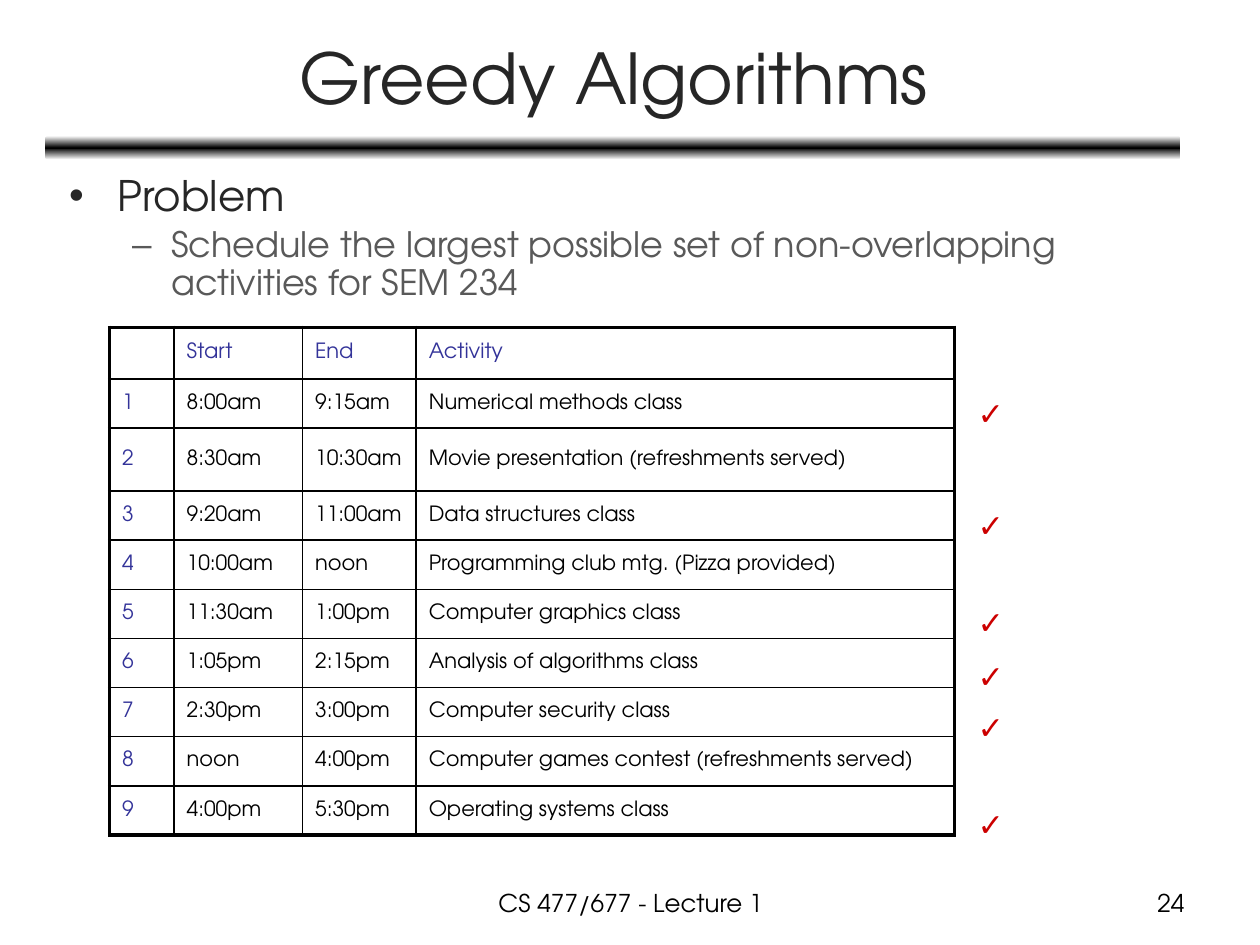
from copy import deepcopy

from lxml import etree
from pptx import Presentation
from pptx.dml.color import RGBColor
from pptx.enum.shapes import MSO_SHAPE
from pptx.enum.text import MSO_ANCHOR, MSO_AUTO_SIZE, PP_ALIGN
from pptx.oxml.ns import qn
from pptx.util import Cm, Pt

ROUNDED = MSO_SHAPE.ROUNDED_RECTANGLE
MIDDLE, TOP = MSO_ANCHOR.MIDDLE, MSO_ANCHOR.TOP
NO_AUTOFIT = MSO_AUTO_SIZE.NONE
LEFT, CENTER, RIGHT = PP_ALIGN.LEFT, PP_ALIGN.CENTER, PP_ALIGN.RIGHT
FONT = "TeX Gyre Adventor"
BLACK, BLUE = "000000", "333399"


def color(hex_value):
    return RGBColor.from_string(hex_value)


def write(para, text, size, hex_value, align=LEFT, **font_values):
    para.alignment = align
    span = para.add_run()
    span.text = text
    values = {"name": FONT, "size": Pt(size), **font_values}
    for name, value in values.items():
        setattr(span.font, name, value)
    span.font.color.rgb = color(hex_value)


deck = Presentation()
deck.slide_width, deck.slide_height = Cm(25.4), Cm(19.05)
page = deck.slides.add_slide(deck.slide_layouts[1])
title, body = page.placeholders

# Gradient rule under the title
rule = page.shapes.add_shape(ROUNDED, Cm(0.91), Cm(2.74), Cm(22.89), Cm(0.48))
rule.shadow.inherit = False
rule.line.fill.background()
rule.fill.gradient()
rule.fill.gradient_angle = 90
first_stop = rule.fill.gradient_stops[0]
stop_list = rule._element.spPr.find(qn("a:gradFill")).find(qn("a:gsLst"))
stop_list.append(deepcopy(stop_list[0]))
for stop, (position, shade) in zip(
        rule.fill.gradient_stops, [(0, "FFFFFF"), (0.5, BLACK), (1, "FFFFFF")]):
    stop.position = position
    stop.color.rgb = color(shade)

# Title
title.left, title.top, title.width, title.height = Cm(0.94), Cm(0.28), Cm(22.86), Cm(2.51)
title.text_frame.vertical_anchor = MIDDLE
write(title.text_frame.paragraphs[0], "Greedy Algorithms", 40, "262626", CENTER)

# Problem statement
body.left, body.top, body.width, body.height = Cm(1.14), Cm(3.4), Cm(21.08), Cm(3.07)
frame = body.text_frame
frame.auto_size = NO_AUTOFIT
frame.vertical_anchor = TOP
points = [
    ("Problem", 24, "262626", "•", 0.97, 0.97, 0),
    ("Schedule the largest possible set of non-overlapping activities for SEM 234",
     20, "595959", "–", 2.06, 0.79, 4),
]
for level, (text, size, shade, bullet, margin, hanging, before) in enumerate(points):
    para = frame.add_paragraph() if level else frame.paragraphs[0]
    para.level = level
    properties = para._p.get_or_add_pPr()
    properties.set("marL", str(Cm(margin)))
    properties.set("indent", str(-Cm(hanging)))
    etree.SubElement(properties, qn("a:buChar")).set("char", bullet)
    para.line_spacing = 0.9
    para.space_before = Pt(before)
    write(para, text, size, shade)

# Activity table
rows = [
    ("", "Start", "End", "Activity"),
    ("1", "8:00am", "9:15am", "Numerical methods class"),
    ("2", "8:30am", "10:30am", "Movie presentation (refreshments served)"),
    ("3", "9:20am", "11:00am", "Data structures class"),
    ("4", "10:00am", "noon", "Programming club mtg. (Pizza provided)"),
    ("5", "11:30am", "1:00pm", "Computer graphics class"),
    ("6", "1:05pm", "2:15pm", "Analysis of algorithms class"),
    ("7", "2:30pm", "3:00pm", "Computer security class"),
    ("8", "noon", "4:00pm", "Computer games contest (refreshments served)"),
    ("9", "4:00pm", "5:30pm", "Operating systems class"),
]
widths = [1.3, 2.59, 2.29, 10.85]
heights = [1.04, 0.99, 1.27] + [0.99] * 7
table = page.shapes.add_table(
    len(rows), len(widths), Cm(2.21), Cm(6.6), Cm(sum(widths)), Cm(sum(heights))).table
table.first_row = table.horz_banding = False
for column, width in zip(table.columns, widths):
    column.width = Cm(width)
for row, height in zip(table.rows, heights):
    row.height = Cm(height)

for r, row in enumerate(rows):
    for c, text in enumerate(row):
        cell = table.cell(r, c)
        cell.vertical_anchor = MIDDLE
        if text:
            shade = BLUE if r == 0 or c == 0 else BLACK
            write(cell.text_frame.paragraphs[0], text, 12, shade)
        # Thick outer frame, thin inner lines
        outer = {"a:lnL": c == 0, "a:lnR": c == len(widths) - 1,
                 "a:lnT": r == 0, "a:lnB": r == len(rows) - 1}
        for tag, is_outer in outer.items():
            border = etree.SubElement(cell._tc.get_or_add_tcPr(), qn(tag))
            border.set("w", str(Pt(2.25 if is_outer else 1)))
            fill = etree.SubElement(border, qn("a:solidFill"))
            etree.SubElement(fill, qn("a:srgbClr")).set("val", BLACK)
        cell.fill.background()

# Check marks beside the chosen activities
for top in (7.82, 10.08, 12.04, 13.13, 14.15, 16.1):
    box = page.shapes.add_textbox(Cm(19.46), Cm(top), Cm(1.14), Cm(1.02))
    write(box.text_frame.paragraphs[0], "✓", 18, "CC0000", name="Arial", bold=True)

# Footer and page number
for text, left, width, align in [("CS 477/677 - Lecture 1", 8.69, 8.05, CENTER),
                                 ("24", 18.21, 5.92, RIGHT)]:
    box = page.shapes.add_textbox(Cm(left), Cm(17.78), Cm(width), Cm(0.89))
    box.text_frame.word_wrap = True
    write(box.text_frame.paragraphs[0], text, 14, BLACK, align)

deck.save("out.pptx")
